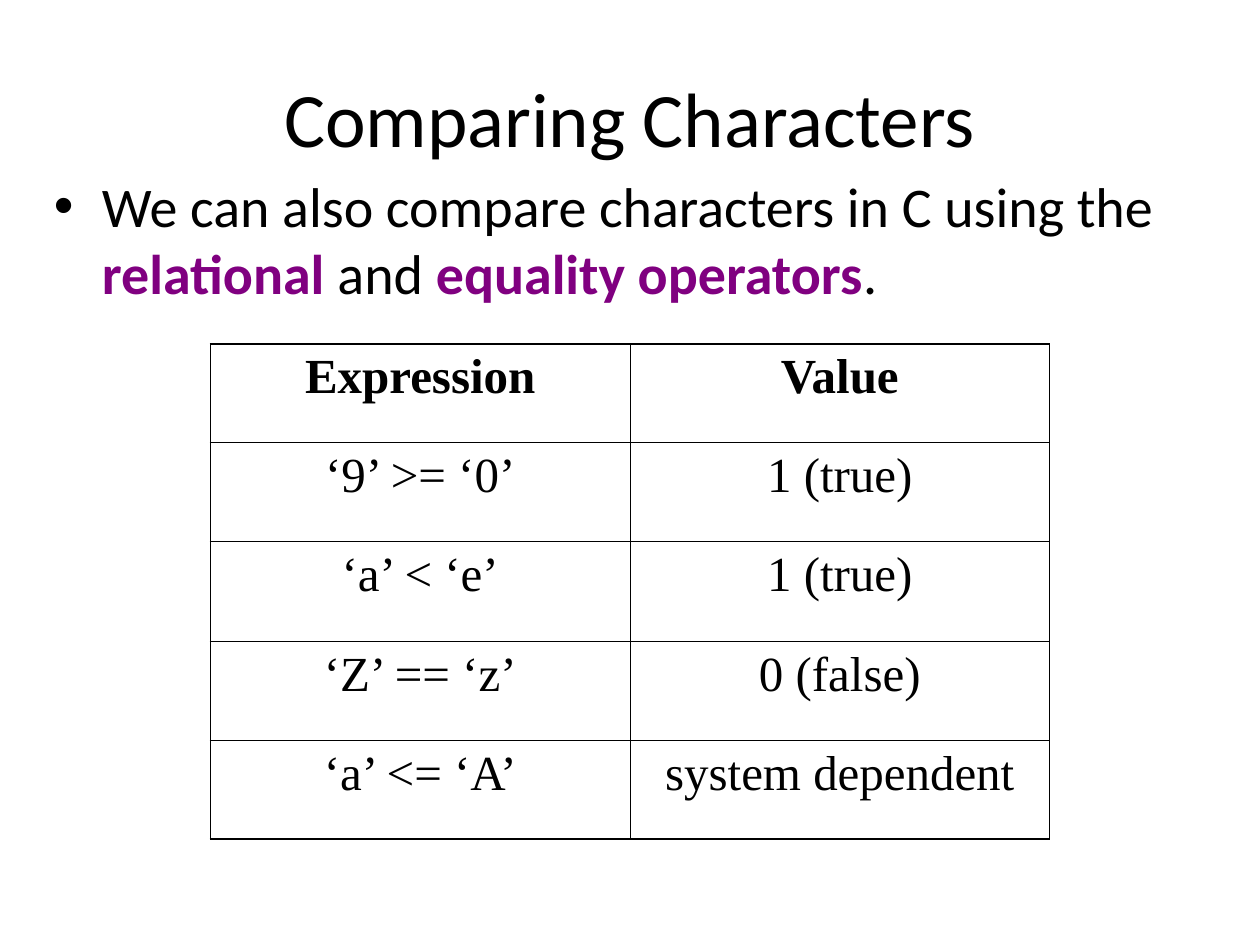
from lxml.etree import SubElement
from pptx import Presentation
from pptx.dml.color import RGBColor
from pptx.enum.text import MSO_ANCHOR, PP_ALIGN
from pptx.oxml.ns import qn
from pptx.util import Inches, Pt

BLACK = RGBColor(0x00, 0x00, 0x00)
PURPLE = RGBColor(0x80, 0x00, 0x80)
OUTER, INNER = Pt(1.08), Pt(0.45)


def style(run, font, size, color=BLACK, bold=False):
    run.font.name = font
    run.font.size = Pt(size)
    run.font.color.rgb = color
    run.font.bold = bold


def add_border(cell, side, width):
    """Draw one cell side; call before setting the fill, which must follow the lines."""
    line = SubElement(cell._tc.get_or_add_tcPr(), qn(f"a:{side}"), w=str(int(width)))
    fill = SubElement(line, qn("a:solidFill"))
    SubElement(fill, qn("a:srgbClr"), val=str(BLACK))


prs = Presentation()
prs.slide_width, prs.slide_height = Inches(10), Inches(7.5)
slide = prs.slides.add_slide(prs.slide_layouts[6])

# Title
title = slide.shapes.add_textbox(Inches(0.5), Inches(0.3), Inches(9), Inches(1.25)).text_frame
title.word_wrap = True
title.vertical_anchor = MSO_ANCHOR.MIDDLE
title.text = "Comparing Characters"
title.paragraphs[0].alignment = PP_ALIGN.CENTER
style(title.paragraphs[0].runs[0], "Calibri", 44)

# Bulleted statement
statement = slide.shapes.add_textbox(Inches(0.33), Inches(1.31), Inches(9.33), Inches(1.61)).text_frame
statement.word_wrap = True
bullet = statement.paragraphs[0]
bullet.space_before = Pt(8)
bullet_format = bullet._p.get_or_add_pPr()
bullet_format.set("marL", str(Inches(0.38)))
bullet_format.set("indent", str(-Inches(0.38)))
SubElement(bullet_format, qn("a:buFont"), typeface="Arial")
SubElement(bullet_format, qn("a:buChar"), char="•")
for words, is_term in [
    ("We can also compare characters in C using the ", False),
    ("relational", True),
    (" and ", False),
    ("equality operators", True),
    (".", False),
]:
    run = bullet.add_run()
    run.text = words
    style(run, "Calibri", 32, PURPLE if is_term else BLACK, is_term)

# Comparison table
comparisons = [
    ("Expression", "Value"),
    ("‘9’ >= ‘0’", "1 (true)"),
    ("‘a’ < ‘e’", "1 (true)"),
    ("‘Z’ == ‘z’", "0 (false)"),
    ("‘a’ <= ‘A’", "system dependent"),
]
last_row, last_col = len(comparisons) - 1, 1
table = slide.shapes.add_table(
    len(comparisons), 2, Inches(1.67), Inches(2.73), Inches(6.67), Inches(3.94)
).table
table.first_row = table.horz_banding = False
for column in table.columns:
    column.width = Inches(3.33)

for r, comparison in enumerate(comparisons):
    table.rows[r].height = Inches(0.78 if r in (0, last_row) else 0.79)
    for c, entry in enumerate(comparison):
        cell = table.cell(r, c)
        cell.text_frame.text = entry
        paragraph = cell.text_frame.paragraphs[0]
        paragraph.alignment = PP_ALIGN.CENTER
        paragraph.space_before = Pt(7)
        style(paragraph.runs[0], "Times New Roman", 28, bold=r == 0)
        for side, on_edge in [
            ("lnL", c == 0),
            ("lnR", c == last_col),
            ("lnT", r == 0),
            ("lnB", r == last_row),
        ]:
            add_border(cell, side, OUTER if on_edge else INNER)
        cell.fill.background()

prs.save("out.pptx")
